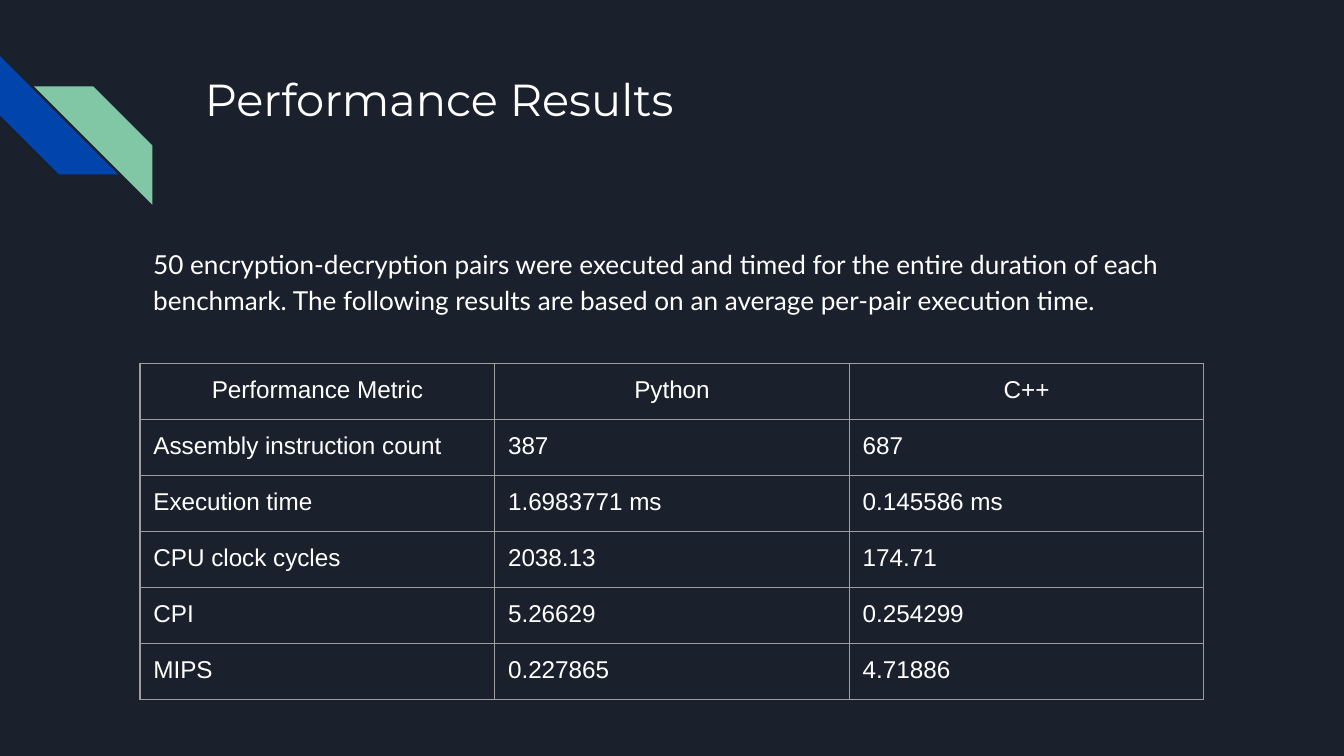
from pptx import Presentation
from pptx.dml.color import RGBColor
from pptx.enum import shapes, text
from pptx.oxml import parse_xml
from pptx.oxml.ns import nsdecls
from pptx.util import Pt

TITLE = "Performance Results"
SUMMARY = ("50 encryption-decryption pairs were executed and timed for the entire "
           "duration of each benchmark. The following results are based on an "
           "average per-pair execution time.")
RESULTS = [
    ("Performance Metric", "Python", "C++"),
    ("Assembly instruction count", "387", "687"),
    ("Execution time", "1.6983771 ms", "0.145586 ms"),
    ("CPU clock cycles", "2038.13", "174.71"),
    ("CPI", "5.26629", "0.254299"),
    ("MIPS", "0.227865", "4.71886"),
]
# left, top, fill, rotation, mirrored
STRIPES = [(0, 30.1, "0145AC", 270, False), (18.3, 46.3, "82C7A5", 0, True)]
STRIPE_SIZE = 63.3
BACKGROUND, WHITE, BORDER = "1B212C", "FFFFFF", "9E9E9E"
LEFT, WIDTH = 75, 570
TABLE_TOP, ROW_HEIGHT = 194.6, 30
INSET = 7.2


def rgb(value):
    return RGBColor.from_string(value)


def set_insets(box):
    """Give a text frame or table cell the same inset on every side."""
    box.margin_left = box.margin_right = Pt(INSET)
    box.margin_top = box.margin_bottom = Pt(INSET)


def write(tf, content, font, size, align=text.PP_ALIGN.LEFT,
          line_spacing=1.0, space_after=0):
    tf.word_wrap = True
    p = tf.paragraphs[0]
    p.alignment = align
    p.line_spacing = line_spacing
    p.space_after = Pt(space_after)
    r = p.add_run()
    r.text = content
    r.font.name = font
    r.font.size = Pt(size)
    r.font.color.rgb = rgb(WHITE)


def add_borders(cell):
    tc_pr = cell._tc.get_or_add_tcPr()
    for side in ("lnL", "lnR", "lnT", "lnB"):
        tc_pr.append(parse_xml(
            f'<a:{side} {nsdecls("a")} w="{Pt(0.75)}"><a:solidFill>'
            f'<a:srgbClr val="{BORDER}"/></a:solidFill></a:{side}>'))


def add_stripe(s, left, top, color, rotation, mirrored):
    sp = s.shapes.add_shape(shapes.MSO_SHAPE.DIAGONAL_STRIPE, Pt(left), Pt(top),
                            Pt(STRIPE_SIZE), Pt(STRIPE_SIZE))
    sp.adjustments[0] = 0.5
    sp.rotation = rotation
    if mirrored:
        sp._element.spPr.xfrm.set("flipH", "1")
    sp.fill.solid()
    sp.fill.fore_color.rgb = rgb(color)
    sp.line.fill.background()
    sp.shadow.inherit = False


def add_results(s):
    rows, cols = len(RESULTS), len(RESULTS[0])
    table = s.shapes.add_table(rows, cols, Pt(LEFT), Pt(TABLE_TOP), Pt(WIDTH),
                               Pt(rows * ROW_HEIGHT)).table
    table.first_row = table.horz_banding = False
    for column in table.columns:
        column.width = Pt(WIDTH / cols)
    for i, values in enumerate(RESULTS):
        table.rows[i].height = Pt(ROW_HEIGHT)
        align = text.PP_ALIGN.LEFT if i else text.PP_ALIGN.CENTER
        for j, value in enumerate(values):
            cell = table.cell(i, j)
            set_insets(cell)
            add_borders(cell)
            cell.fill.background()
            write(cell.text_frame, value, "Arial", 13, align=align)


def main():
    prs = Presentation()
    prs.slide_width, prs.slide_height = Pt(720), Pt(405)
    s = prs.slides.add_slide(prs.slide_layouts[5])
    s.background.fill.solid()
    s.background.fill.fore_color.rgb = rgb(BACKGROUND)

    for stripe in STRIPES:
        add_stripe(s, *stripe)

    title = s.shapes.title
    title.left, title.top, title.width, title.height = Pt(102.5), Pt(31), Pt(554), Pt(72)
    summary = s.shapes.add_textbox(Pt(LEFT), Pt(123.2), Pt(WIDTH), Pt(65.5))
    for sp in (title, summary):
        set_insets(sp.text_frame)
        sp.text_frame.vertical_anchor = text.MSO_ANCHOR.TOP
        sp.text_frame.auto_size = text.MSO_AUTO_SIZE.NONE
    write(title.text_frame, TITLE, "Montserrat", 24)
    write(summary.text_frame, SUMMARY, "Lato", 14, line_spacing=1.15, space_after=12)

    add_results(s)
    prs.save("out.pptx")


if __name__ == "__main__":
    main()
